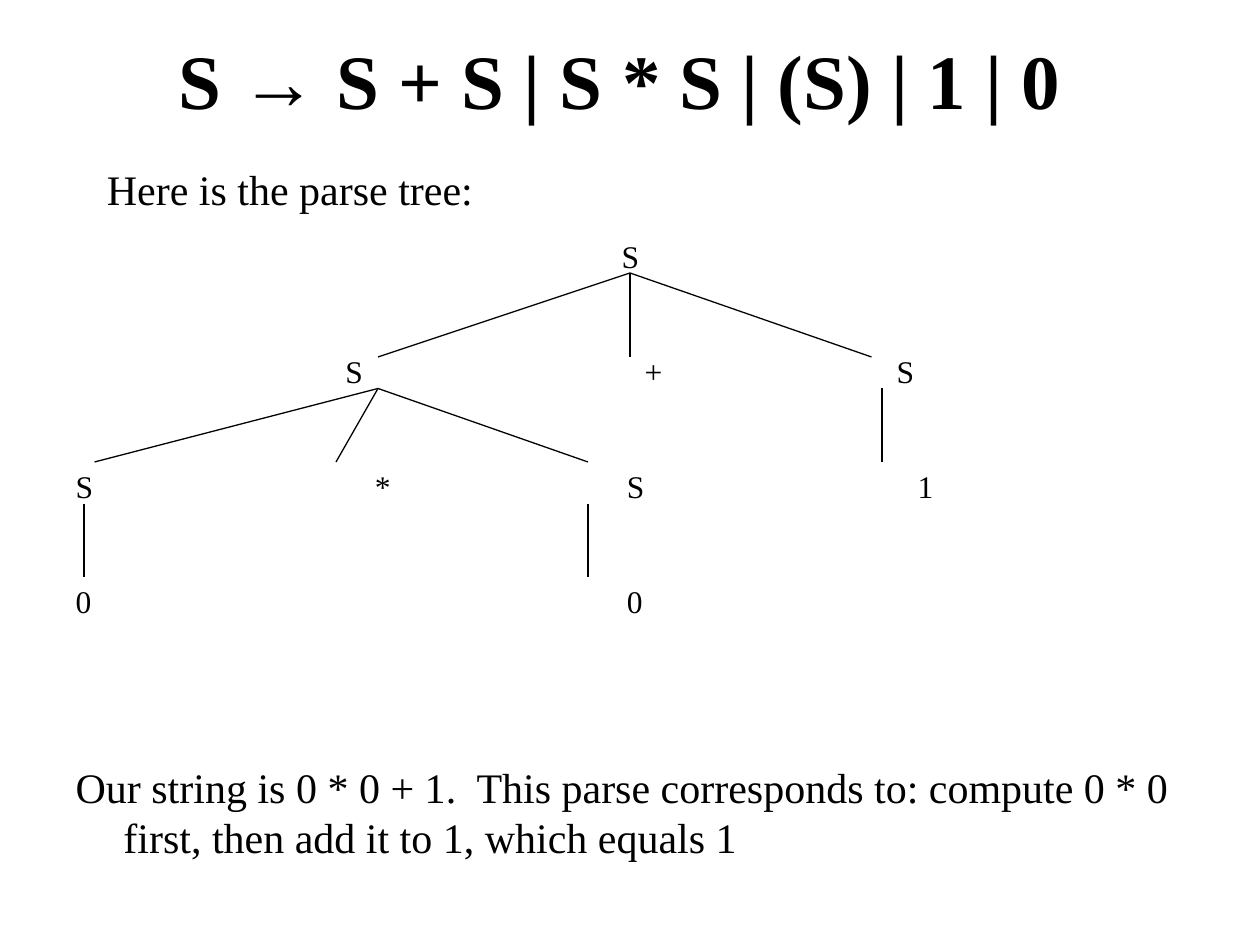
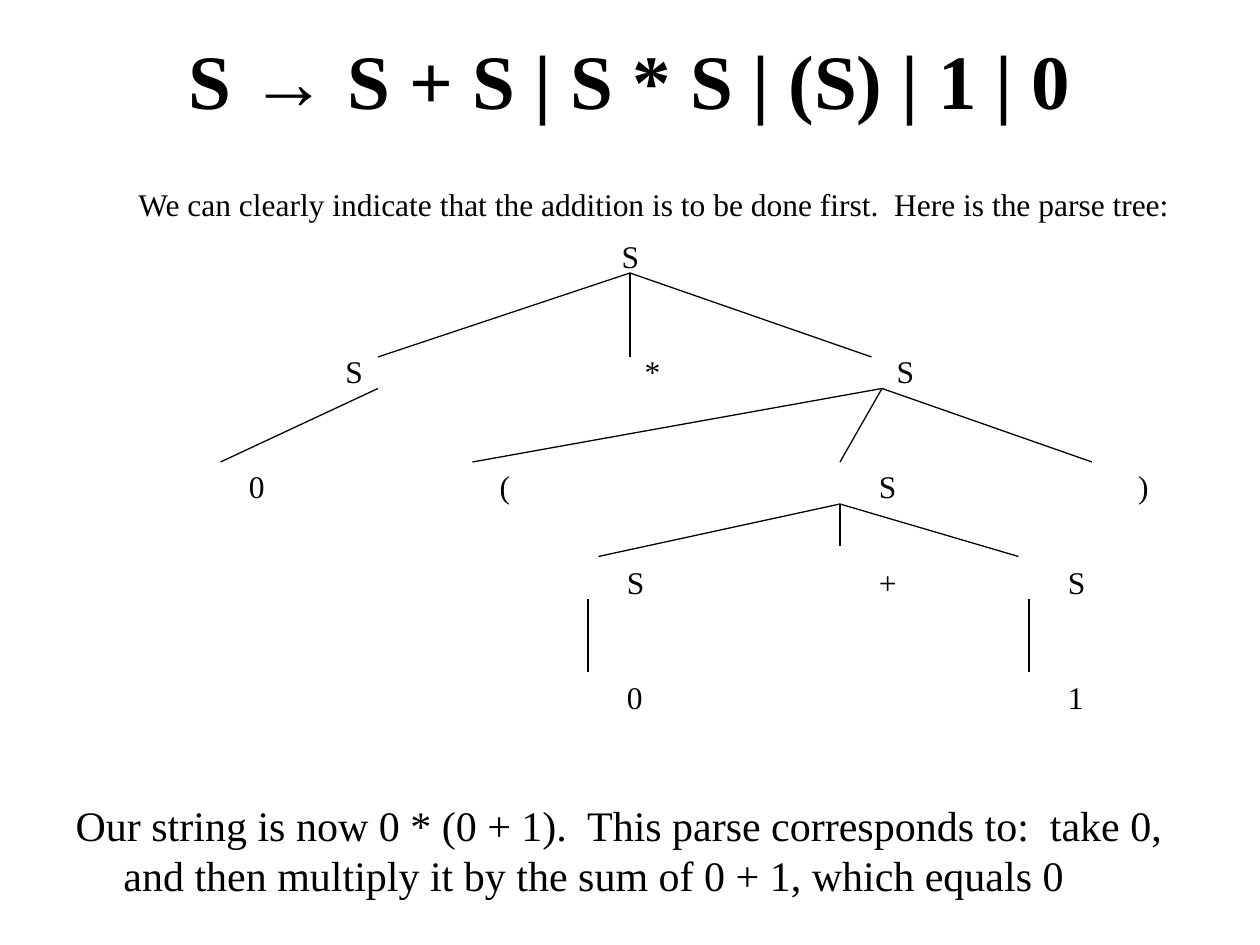
from lxml.etree import SubElement
from pptx import Presentation
from pptx.dml.color import RGBColor
from pptx.enum.shapes import MSO_CONNECTOR
from pptx.enum.text import MSO_ANCHOR, PP_ALIGN
from pptx.oxml.ns import qn
from pptx.util import Inches, Pt

# Shared style
INK = RGBColor(0, 0, 0)
PAPER = RGBColor(255, 255, 255)
SERIF = "Times New Roman"
ARROW_FONT = "Arial"
GRAMMAR = (("S ", SERIF), ("→", ARROW_FONT),
           (" S + S | S * S | (S) | 1 | 0", SERIF))
NODE_SIZE, NODE_LINE = 18, 21.7
NOTE_SIZE, NOTE_LINE = 24, 28.6

# The slide is a grid of 120 columns and 90 rows
CELL = Inches(10) // 120
TREE_LEFT, TREE_TOP, TREE_WIDTH = 6, 22, 108

# Both trees start with the same root and three branches
ROOT_ROW = (0, [("S", 59.2)])
ROOT_BRANCHES = ((60, 26), [(60, 34), (36, 34), (83, 34)])


def cells(count):
    return round(count * CELL)


def box(left, top, width, height):
    return [cells(n) for n in (left, top, width, height)]


def style_run(run, size, font=SERIF, bold=False):
    run.font.size = Pt(size)
    run.font.name = font
    run.font.bold = bold
    run.font.color.rgb = INK


def add_grammar_title(slide, left):
    title = slide.shapes.title
    title.left, title.top, title.width, title.height = box(left, 0, 108, 15)
    title.text_frame.vertical_anchor = MSO_ANCHOR.MIDDLE
    rule = title.text_frame.paragraphs[0]
    rule.alignment = PP_ALIGN.CENTER
    for symbols, font in GRAMMAR:
        run = rule.add_run()
        run.text = symbols
        style_run(run, 44, font, bold=True)


def add_intro(slide, sentence, place, size):
    frame = slide.shapes.add_textbox(*box(*place)).text_frame
    frame.word_wrap = True
    frame.text = sentence
    style_run(frame.paragraphs[0].runs[0], size)


def write_line(paragraph, words, size, leading, gap):
    paragraph.text = words
    paragraph.line_spacing = Pt(leading)
    paragraph.space_before = Pt(gap)
    for run in paragraph.runs:
        style_run(run, size)


def add_tree_text(slide, rows, conclusion, conclusion_gap, height):
    """Set each tree level on its own tab stops, then the conclusion."""
    place = box(TREE_LEFT, TREE_TOP, TREE_WIDTH, height)
    frame = slide.shapes.add_textbox(*place).text_frame
    frame.word_wrap = True
    frame.margin_left = 0
    for level, (gap, nodes) in enumerate(rows):
        line = frame.add_paragraph() if level else frame.paragraphs[0]
        stops = SubElement(line._p.get_or_add_pPr(), qn("a:tabLst"))
        for _, column in nodes:
            SubElement(stops, qn("a:tab"), algn="l",
                       pos=str(cells(column - TREE_LEFT)))
        symbols = "".join("\t" + symbol for symbol, _ in nodes)
        write_line(line, symbols, NODE_SIZE, NODE_LINE, gap)

    # Hanging indent for the closing sentence
    closing = frame.add_paragraph()
    properties = closing._p.get_or_add_pPr()
    properties.set("marL", str(Inches(0.48)))
    properties.set("indent", str(Inches(-0.38)))
    write_line(closing, conclusion, NOTE_SIZE, NOTE_LINE, conclusion_gap)


def add_branches(slide, parent, children):
    for child in children:
        ends = [cells(n) for n in (*parent, *child)]
        branch = slide.shapes.add_connector(MSO_CONNECTOR.STRAIGHT, *ends)
        branch.line.color.rgb = INK
        branch.line.width = Pt(0.75)
        SubElement(branch._element.spPr, qn("a:effectLst"))


def add_parse_slide(deck, title_left, intro, tree, branches):
    slide = deck.slides.add_slide(deck.slide_layouts[5])
    slide.background.fill.solid()
    slide.background.fill.fore_color.rgb = PAPER
    add_grammar_title(slide, title_left)
    add_tree_text(slide, *tree)
    for parent, children in [ROOT_BRANCHES, *branches]:
        add_branches(slide, parent, children)
    add_intro(slide, *intro)


def main():
    deck = Presentation()
    deck.slide_width, deck.slide_height = cells(120), cells(90)

    # Multiplication first: 0 * 0 + 1
    add_parse_slide(
        deck, 5,
        intro=("Here is the parse tree:", (9, 15, 45, 6), 24),
        tree=([ROOT_ROW,
               (44, [("S", 32.9), ("+", 61.4), ("S", 85.4)]),
               (44, [("S", 7.2), ("*", 35.7), ("S", 59.7), ("1", 87.4)]),
               (44, [("0", 7.2), ("0", 59.7)])],
              "Our string is 0 * 0 + 1.  This parse corresponds to: "
              "compute 0 * 0 first, then add it to 1, which equals 1",
              81, 60.7),
        branches=[((36, 37), [(9, 44), (32, 44), (56, 44)]),
                  ((84, 37), [(84, 44)]),
                  ((8, 48), [(8, 55)]),
                  ((56, 48), [(56, 55)])])

    # Addition first: 0 * (0 + 1)
    add_parse_slide(
        deck, 6,
        intro=("We can clearly indicate that the addition is to be done "
               "first.  Here is the parse tree:", (12, 17, 101, 4.8), 18),
        tree=([ROOT_ROW,
               (44, [("S", 32.9), ("*", 61.4), ("S", 85.4)]),
               (44, [("0", 23.7), ("(", 47.6), ("S", 83.7), (")", 108.4)]),
               (33, [("S", 59.7), ("+", 83.7), ("S", 101.7)]),
               (44, [("0", 59.7), ("1", 101.7)])],
              "Our string is now 0 * (0 + 1).  This parse corresponds to:  "
              "take 0, and then multiply it by the sum of 0 + 1, "
              "which equals 0",
              48, 64.3),
        branches=[((84, 37), [(45, 44), (80, 44), (104, 44)]),
                  ((56, 57), [(56, 64)]),
                  ((98, 57), [(98, 64)]),
                  ((36, 37), [(21, 44)]),
                  ((80, 48), [(57, 53), (80, 52), (97, 53)])])

    deck.save("out.pptx")


if __name__ == "__main__":
    main()
